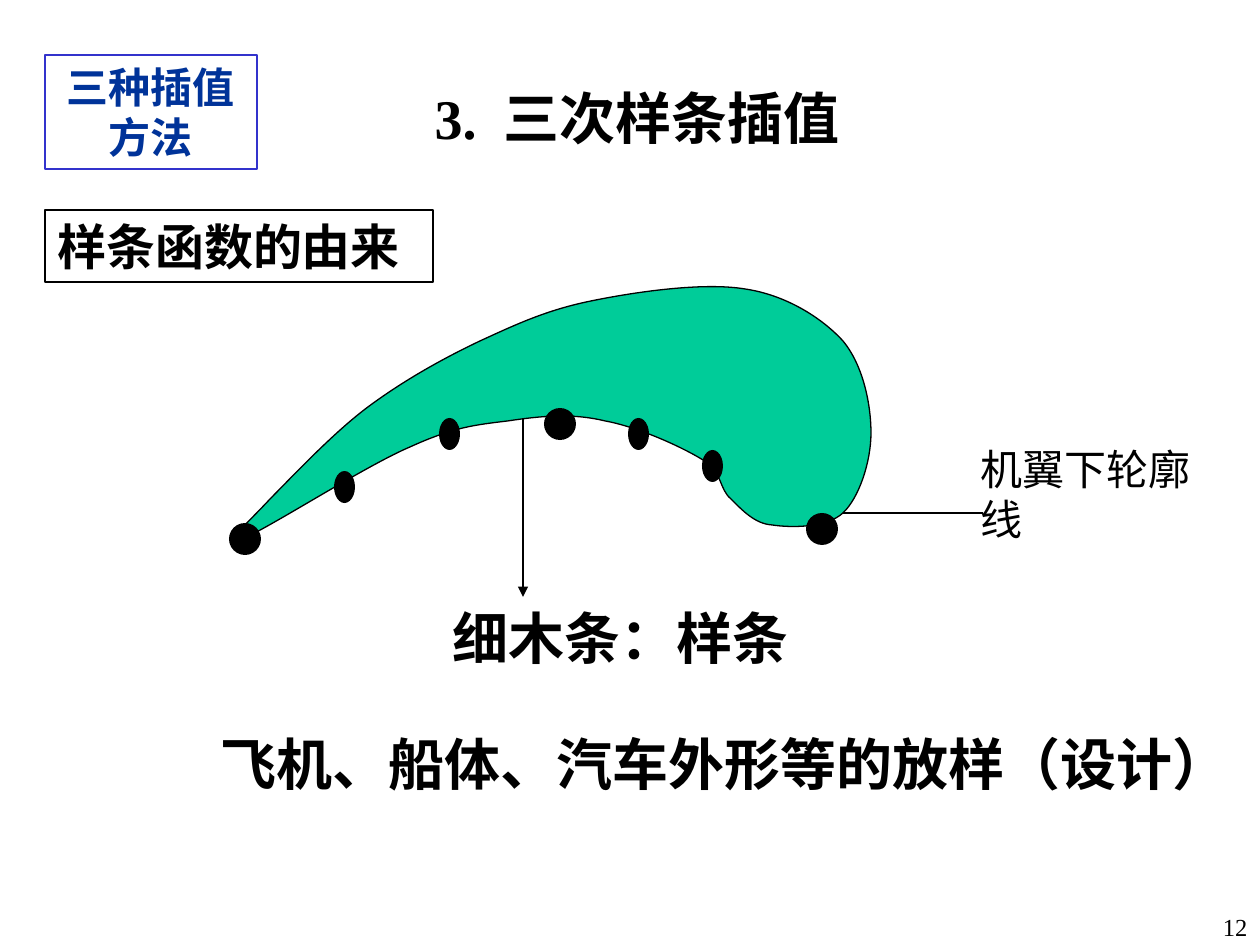
from dataclasses import dataclass

from lxml import etree
from pptx import Presentation
from pptx import util as u
from pptx.dml.color import RGBColor
from pptx.enum import shapes, text
from pptx.oxml.ns import qn

SCALE = 914400 / 126


def px(length):
    return u.Emu(round(length * SCALE))


@dataclass(frozen=True)
class Theme:
    ink: str = "000000"
    wing: str = "00CC99"
    tag_text: str = "003399"
    tag_line: str = "3333CC"
    serif: str = "Times New Roman"
    sans: str = "Noto Sans CJK JP"
    tag_font: str = "Noto Sans CJK SC"
    heading: int = 32
    section: int = 28
    label: int = 24
    number: int = 14
    line: float = 0.75


class SlideBuilder:
    def __init__(self, slide, theme):
        self.slide = slide
        self.theme = theme

    def set_text(self, shape, runs, size, font=None, color=None, bold=True,
                 align=text.PP_ALIGN.LEFT):
        frame = shape.text_frame
        frame.word_wrap = True
        frame.auto_size = text.MSO_AUTO_SIZE.NONE
        frame.vertical_anchor = text.MSO_ANCHOR.TOP
        paragraph = frame.paragraphs[0]
        paragraph.alignment = align
        for words in runs:
            run = paragraph.add_run()
            run.text = words
            run.font.size = u.Pt(size)
            run.font.bold = bold
            run.font.name = font or self.theme.serif
            run.font.color.rgb = RGBColor.from_string(color or self.theme.ink)
            east_asian = font or self.theme.tag_font
            etree.SubElement(run.font._element, qn("a:ea"), typeface=east_asian)
        return paragraph

    def outline(self, shape, color):
        shape.line.color.rgb = RGBColor.from_string(color)
        shape.line.width = u.Pt(self.theme.line)

    def title(self, box, number, words):
        shape = self.slide.shapes.title
        shape.left, shape.top, shape.width, shape.height = map(px, box)
        paragraph = self.set_text(shape, [number, " ", words], self.theme.heading)
        paragraph.runs[1].font._element.set("spc", "750")

    def text_box(self, box, words, size, **style):
        shape = self.slide.shapes.add_textbox(*map(px, box))
        self.set_text(shape, [words], size, **style)

    def framed_text(self, box, words, size, border, **style):
        shape = self.slide.shapes.add_shape(shapes.MSO_SHAPE.RECTANGLE, *map(px, box))
        shape.shadow.inherit = False
        shape.fill.background()
        self.outline(shape, border)
        self.set_text(shape, [words], size, **style)

    def dot(self, left, top, width, height=32):
        shape = self.slide.shapes.add_shape(
            shapes.MSO_SHAPE.OVAL, *map(px, (left, top, width, height)))
        shape.shadow.inherit = False
        shape.fill.solid()
        shape.fill.fore_color.rgb = RGBColor.from_string(self.theme.ink)
        shape.line.fill.background()

    def line(self, start, end, arrow=False):
        connector = self.slide.shapes.add_connector(
            shapes.MSO_CONNECTOR.STRAIGHT, *map(px, start + end))
        self.outline(connector, self.theme.ink)
        if arrow:
            etree.SubElement(connector.line._get_or_add_ln(), qn("a:tailEnd"), type="triangle")
        etree.SubElement(connector._element.spPr, qn("a:effectLst"))

    def closed_curve(self, points, fill):
        builder = self.slide.shapes.build_freeform(*points[0], scale=SCALE)
        builder.add_line_segments(points[1:], close=True)
        shape = builder.convert_to_shape()
        lines = list(shape._element.iter(qn("a:lnTo")))
        for first in range(0, len(lines), 3):
            curve = etree.Element(qn("a:cubicBezTo"))
            lines[first].addprevious(curve)
            for segment in lines[first:first + 3]:
                curve.append(segment[0])
                segment.getparent().remove(segment)
        shape.shadow.inherit = False
        shape.fill.solid()
        shape.fill.fore_color.rgb = RGBColor.from_string(fill)
        self.outline(shape, self.theme.ink)


WING_CURVE = [
    (242, 539),
    (266, 530), (365, 466), (410, 447),
    (454, 427), (475, 425), (508, 421),
    (541, 416), (572, 413), (605, 421),
    (638, 427), (682, 447), (703, 460),
    (723, 473), (719, 489), (731, 499),
    (742, 510), (755, 524), (772, 525),
    (791, 528), (827, 528), (843, 513),
    (859, 498), (871, 462), (871, 433),
    (871, 404), (863, 365), (843, 341),
    (822, 318), (786, 295), (745, 289),
    (703, 282), (635, 292), (591, 301),
    (547, 310), (517, 324), (480, 341),
    (442, 359), (403, 381), (368, 407),
    (333, 433), (291, 478), (270, 499),
    (249, 522), (219, 548), (242, 539),
]
LARGE_DOTS = [(229, 523), (806, 513), (544, 408)]
SMALL_DOTS = [(334, 471), (702, 450), (439, 418), (628, 418)]


def main():
    presentation = Presentation()
    presentation.slide_width, presentation.slide_height = px(1260), px(945)
    theme = Theme()
    slide = presentation.slides.add_slide(presentation.slide_layouts[5])
    page = SlideBuilder(slide, theme)

    page.closed_curve(WING_CURVE, theme.wing)
    page.text_box((968, 437, 238, 113), "机翼下轮廓线", theme.label, bold=False)
    page.line((843, 513), (983, 513))

    page.title((422, 77, 462, 81), "3.", "三次样条插值")
    page.framed_text((45, 210, 388, 72), "样条函数的由来", theme.section, theme.ink)
    page.text_box((208, 723, 1040, 81), "飞机、船体、汽车外形等的放样（设计）",
                  theme.heading, font=theme.sans)

    for left, top in LARGE_DOTS:
        page.dot(left, top, 32)
    for left, top in SMALL_DOTS:
        page.dot(left, top, 21)

    page.text_box((440, 597, 378, 81), "细木条：样条", theme.heading, font=theme.sans)
    page.line((523, 418), (523, 597), arrow=True)
    page.framed_text((45, 55, 212, 114), "三种插值方法", theme.label, theme.tag_line,
                     font=theme.tag_font, color=theme.tag_text,
                     align=text.PP_ALIGN.CENTER)
    page.text_box((1207, 906, 53, 39), "12", theme.number, bold=False,
                  align=text.PP_ALIGN.RIGHT)
    presentation.save("out.pptx")


if __name__ == "__main__":
    main()
